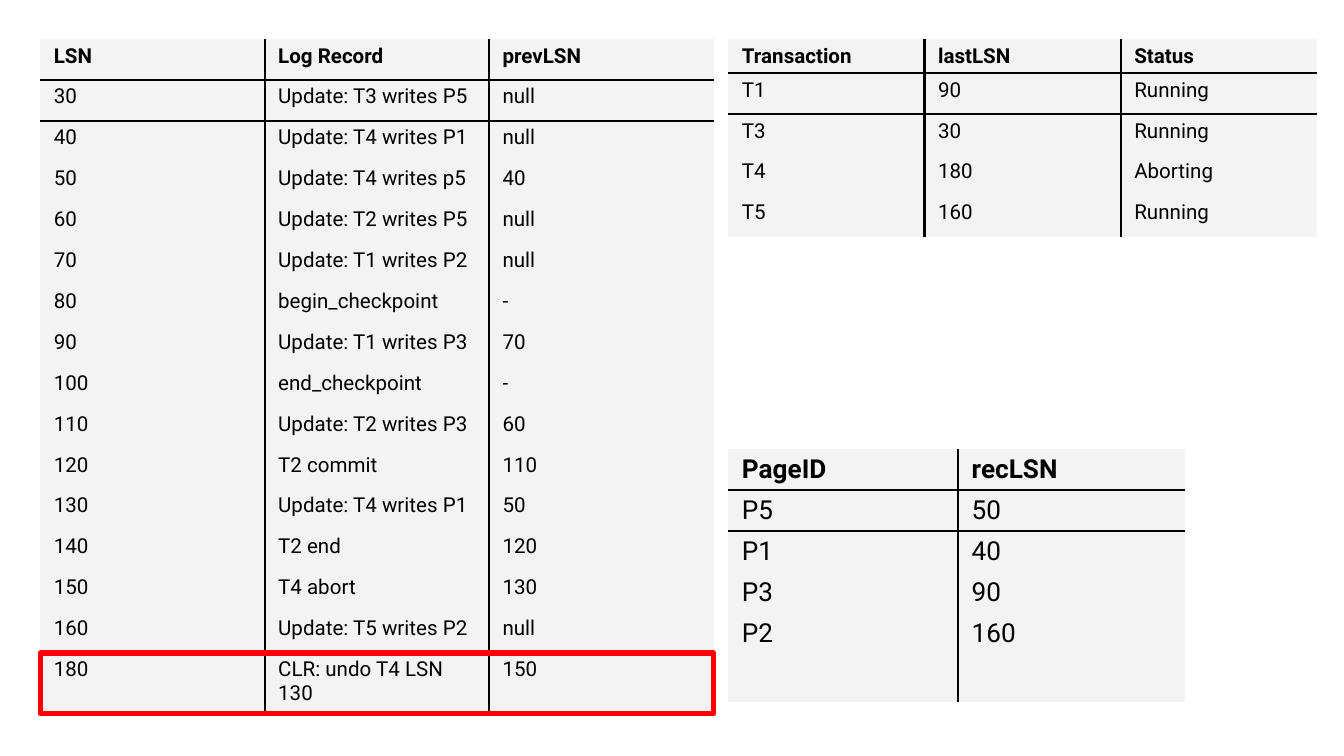
from lxml.etree import SubElement
from pptx import Presentation
from pptx.dml.color import RGBColor
from pptx.enum.shapes import MSO_SHAPE
from pptx.oxml.ns import qn
from pptx.util import Inches, Pt

LOG = [
    ("LSN", "Log Record", "prevLSN"),
    ("30", "Update: T3 writes P5", "null"),
    ("40", "Update: T4 writes P1", "null"),
    ("50", "Update: T4 writes p5", "40"),
    ("60", "Update: T2 writes P5", "null"),
    ("70", "Update: T1 writes P2", "null"),
    ("80", "begin_checkpoint", "-"),
    ("90", "Update: T1 writes P3", "70"),
    ("100", "end_checkpoint", "-"),
    ("110", "Update: T2 writes P3", "60"),
    ("120", "T2 commit", "110"),
    ("130", "Update: T4 writes P1", "50"),
    ("140", "T2 end", "120"),
    ("150", "T4 abort", "130"),
    ("160", "Update: T5 writes P2", "null"),
    ("180", "CLR: undo T4 LSN 130", "150"),
]
TRANSACTIONS = [
    ("Transaction", "lastLSN", "Status"),
    ("T1", "90", "Running"),
    ("T3", "30", "Running"),
    ("T4", "180", "Aborting"),
    ("T5", "160", "Running"),
]
DIRTY_PAGES = [
    ("PageID", "recLSN"),
    ("P5", "50"),
    ("P1", "40"),
    ("P3", "90"),
    ("P2", "160"),
    ("", ""),
]

LEFT, RIGHT, TOP = 0.3, 5.42, 0.29
LOG_COL = 1.67
CLR_TOP, CLR_H = 4.86, 0.45
ROW = (CLR_TOP - TOP) / (len(LOG) - 1)
RULED_ROWS = 2

TABLES = [
    (LOG, LEFT, TOP, [LOG_COL] * 3, [ROW] * 15 + [CLR_H], 11),
    (TRANSACTIONS, RIGHT, TOP, [1.46] * 3, [0.25] + [ROW] * 4, 11),
    (DIRTY_PAGES, RIGHT, 3.34, [1.71, 1.69], [ROW] * 5 + [0.36], 14),
]


def color(value):
    return RGBColor.from_string(value)


def set_borders(cell, drawn):
    tcPr = cell._tc.get_or_add_tcPr()
    for side in ("lnL", "lnR", "lnT", "lnB"):
        ln = SubElement(tcPr, qn(f"a:{side}"), w=str(Pt(1.5)))
        if side in drawn:
            fill = SubElement(ln, qn("a:solidFill"))
            SubElement(fill, qn("a:srgbClr"), val="000000")
        else:
            SubElement(ln, qn("a:noFill"))


def style_cell(cell, text, size, bold):
    cell.margin_left = cell.margin_right = Inches(0.1)
    cell.margin_top = cell.margin_bottom = Pt(2.7)
    cell.fill.solid()
    cell.fill.fore_color.rgb = color("F3F3F3")
    cell.text_frame.text = text
    p = cell.text_frame.paragraphs[0]
    if not text:
        SubElement(p._p, qn("a:endParaRPr"), sz=str(size * 100))
    for r in p.runs:
        r.font.name = "Roboto"
        r.font.size = Pt(size)
        r.font.bold = bold
        r.font.color.rgb = color("000000")


def add_grid(s, rows, left, top, widths, heights, size):
    n = len(widths)
    frame = s.shapes.add_table(len(rows), n, Inches(left), Inches(top),
                               Inches(sum(widths)), Inches(sum(heights)))
    table = frame.table
    table.first_row = table.horz_banding = False
    for col, width in zip(table.columns, widths):
        col.width = Inches(width)
    for i, (row, height) in enumerate(zip(rows, heights)):
        table.rows[i].height = Inches(height)
        for j, text in enumerate(row):
            rules = {"lnL": j > 0, "lnR": j < n - 1,
                     "lnT": 0 < i <= RULED_ROWS, "lnB": i < RULED_ROWS}
            cell = table.cell(i, j)
            set_borders(cell, {side for side, on in rules.items() if on})
            style_cell(cell, text, size, i == 0)


prs = Presentation()
prs.slide_width = Inches(10)
prs.slide_height = prs.slide_width * 9 // 16
s = prs.slides.add_slide(prs.slide_layouts[6])

for grid in TABLES:
    add_grid(s, *grid)

highlight = s.shapes.add_shape(MSO_SHAPE.RECTANGLE, Inches(LEFT), Inches(CLR_TOP),
                               Inches(LOG_COL * 3), Inches(CLR_H))
highlight.shadow.inherit = False
highlight.fill.background()
highlight.line.color.rgb = color("FF0000")
highlight.line.width = Pt(3)

prs.save("out.pptx")
